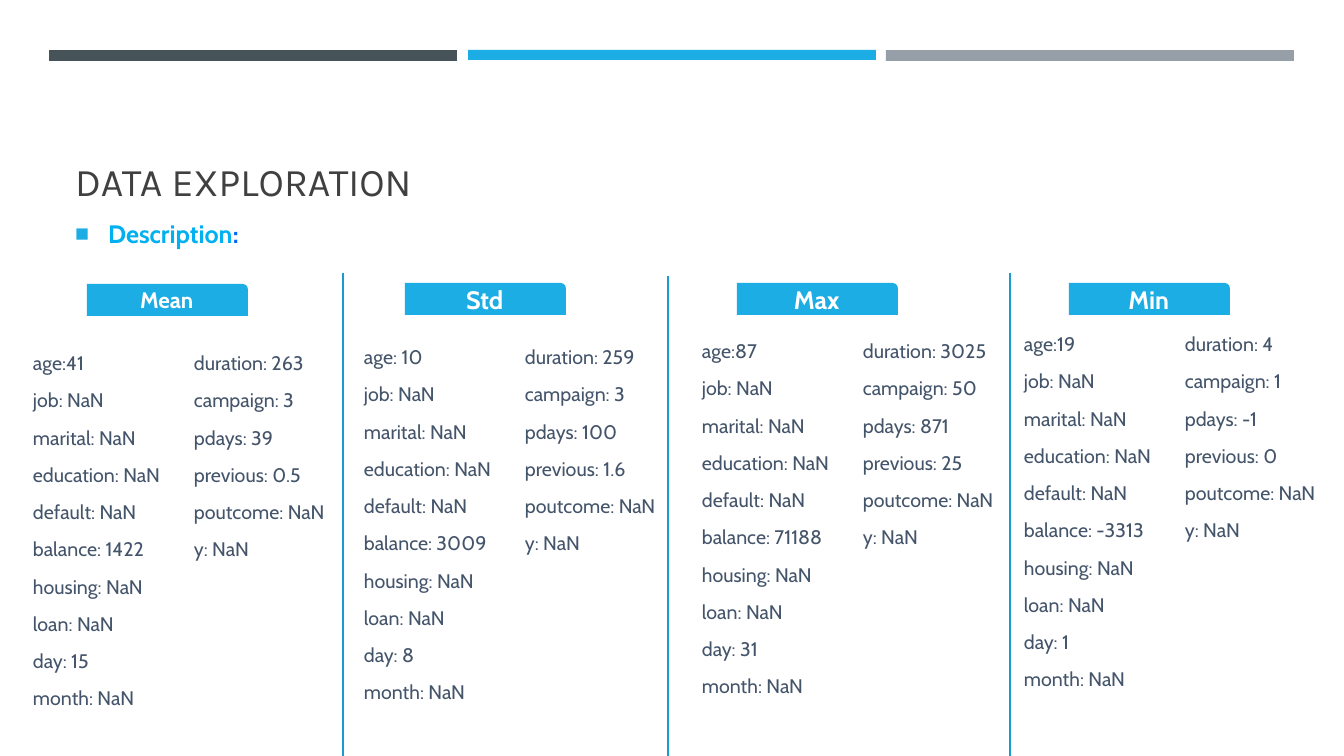
from lxml import etree
from pptx import Presentation
from pptx.dml.color import RGBColor
from pptx.enum.shapes import MSO_CONNECTOR as Connector, MSO_SHAPE as Shape
from pptx.enum.text import MSO_ANCHOR as Anchor, MSO_AUTO_SIZE as AutoSize, PP_ALIGN as Align
from pptx.oxml.ns import qn
from pptx.util import Emu, Pt

TITLE = "DATA EXPLORATION"
HEADING = [("Description", "00B0F0"), (":", "0068FF")]
# left, top, width, height, colour
BARS = [
    (49, 50, 408, 11, "465359"),
    (468, 50, 408, 10, "1CADE4"),
    (886, 50, 408, 11, "969FA7"),
]
LEFT_FIELDS = ["job", "marital", "education", "default", "balance",
               "housing", "loan", "day", "month"]
RIGHT_FIELDS = ["duration", "campaign", "pdays", "previous", "poutcome", "y"]
# Fields without a number are shown as NaN
STATISTICS = [
    {"name": "Mean", "size": 16, "tag": (87, 284), "lists": (23, 346), "age": "age:41",
     "values": {"balance": "1422", "day": "15", "duration": "263",
                "campaign": "3", "pdays": "39", "previous": "0.5"}},
    {"name": "Std", "size": 18, "tag": (405, 283), "lists": (354, 340), "age": "age: 10",
     "values": {"balance": "3009", "day": "8", "duration": "259",
                "campaign": "3", "pdays": "100", "previous": "1.6"}},
    {"name": "Max", "size": 18, "tag": (737, 283), "lists": (692, 334), "age": "age:87",
     "values": {"balance": "71188", "day": "31", "duration": "3025",
                "campaign": "50", "pdays": "871", "previous": "25"}},
    {"name": "Min", "size": 18, "tag": (1069, 283), "lists": (1014, 327), "age": "age:19",
     "values": {"balance": "-3313", "day": "1", "duration": "4",
                "campaign": "1", "pdays": "-1", "previous": "0"}},
]
DIVIDERS = [(343, 273), (668, 276), (1010, 273)]

SLIDE_WIDTH, SLIDE_HEIGHT = 1344, 756
TAG_SIZE = (161, 32)
LIST_WIDTH, LEFT_HEIGHT, RIGHT_HEIGHT = 169, 480, 224
LIST_STEP = 161
ACCENT = "1CADE4"


def px(*lengths):
    return [Emu(round(length * 914400 / 100.8)) for length in lengths]


def color(value):
    return RGBColor.from_string(value)


def set_font(font, name, size, value=None, bold=False):
    font.name, font.size, font.bold = name, Pt(size), bold
    if value:
        font.color.rgb = color(value)


def add_block(slide, kind, bounds, fill):
    block = slide.shapes.add_shape(kind, *px(*bounds))
    block.shadow.inherit = False
    block.fill.solid()
    block.fill.fore_color.rgb = color(fill)
    block.line.fill.background()
    return block


def move(placeholder, bounds):
    (placeholder.left, placeholder.top,
     placeholder.width, placeholder.height) = px(*bounds)
    placeholder.text_frame.auto_size = AutoSize.NONE


def add_title(slide):
    title = slide.shapes.title
    move(title, (65, 78, 1215, 131))
    title.text_frame.vertical_anchor = Anchor.BOTTOM
    title.text_frame.text = TITLE
    para = title.text_frame.paragraphs[0]
    para.alignment = Align.LEFT
    set_font(para.font, "Karla", 28, "404040")


def add_heading(slide):
    body = slide.placeholders[1]
    move(body, (65, 210, 556, 101))
    para = body.text_frame.paragraphs[0]
    para.line_spacing = 1.1
    para.space_before, para.space_after = Pt(3.6), Pt(6)
    properties = para._p.get_or_add_pPr()
    indent = px(33)[0]
    properties.set("marL", str(indent))
    properties.set("indent", str(-indent))
    bullet_color = etree.SubElement(properties, qn("a:buClr"))
    etree.SubElement(bullet_color, qn("a:srgbClr"), val=ACCENT)
    etree.SubElement(properties, qn("a:buSzPct"), val="92000")
    etree.SubElement(properties, qn("a:buChar"), char="■")
    set_font(para.font, "Cabin", 18, bold=True)
    for text, value in HEADING:
        span = para.add_run()
        span.text = text
        span.font.color.rgb = color(value)


def add_tag(slide, statistic):
    tag = add_block(slide, Shape.ROUND_1_RECTANGLE, statistic["tag"] + TAG_SIZE, ACCENT)
    frame = tag.text_frame
    frame.vertical_anchor = Anchor.MIDDLE
    frame.text = statistic["name"]
    para = frame.paragraphs[0]
    para.alignment = Align.CENTER
    set_font(para.font, "Cabin", statistic["size"], "FFFFFF", bold=True)


def add_list(slide, bounds, lines):
    box = slide.shapes.add_textbox(*px(*bounds))
    frame = box.text_frame
    frame.word_wrap = True
    frame.text = "\n".join(lines)
    for para in frame.paragraphs:
        para.space_before, para.space_after = Pt(3.8), Pt(6)
        set_font(para.font, "Cabin", 14, "44546A")


def add_statistic(slide, statistic):
    def lines(fields):
        return [f"{field}: {statistic['values'].get(field, 'NaN')}" for field in fields]

    add_tag(slide, statistic)
    left, top = statistic["lists"]
    add_list(slide, (left, top, LIST_WIDTH, LEFT_HEIGHT),
             [statistic["age"]] + lines(LEFT_FIELDS))
    add_list(slide, (left + LIST_STEP, top, LIST_WIDTH, RIGHT_HEIGHT), lines(RIGHT_FIELDS))


def add_divider(slide, x, top):
    divider = slide.shapes.add_connector(Connector.STRAIGHT, *px(x, SLIDE_HEIGHT, x, top))
    divider.line.color.rgb = color("189CCE")
    divider.line.width = Pt(1)
    etree.SubElement(divider._element.spPr, qn("a:effectLst"))


def main():
    deck = Presentation()
    deck.slide_width, deck.slide_height = px(SLIDE_WIDTH, SLIDE_HEIGHT)
    slide = deck.slides.add_slide(deck.slide_layouts[1])
    for *bounds, fill in BARS:
        add_block(slide, Shape.RECTANGLE, bounds, fill)
    add_title(slide)
    add_heading(slide)
    for statistic in STATISTICS:
        add_statistic(slide, statistic)
    for x, top in DIVIDERS:
        add_divider(slide, x, top)
    deck.save("out.pptx")


if __name__ == "__main__":
    main()
